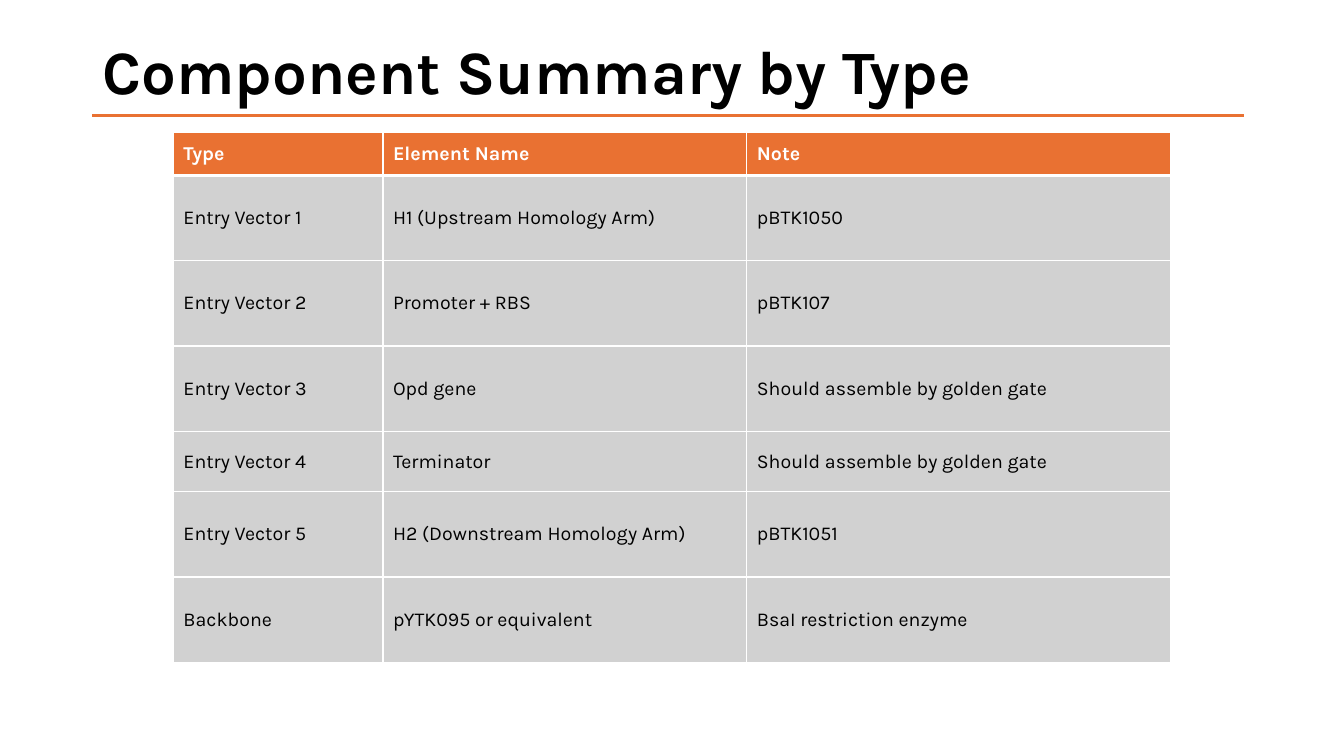
from lxml.etree import SubElement
from pptx import Presentation
from pptx.dml.color import RGBColor
from pptx.enum.shapes import MSO_CONNECTOR
from pptx.enum.text import MSO_ANCHOR
from pptx.oxml.ns import qn
from pptx.util import Cm, Pt

FONT = "Karla"
BLACK, WHITE, ORANGE, GRAY = "000000", "FFFFFF", "E97132", "D1D1D1"

COLUMN_WIDTHS = [5.28, 9.17, 10.69]
HEADER_HEIGHT, ROW_HEIGHT, SHORT_ROW_HEIGHT = 1.09, 2.15, 1.52
HEADER = ("Type", "Element Name", "Note")
COMPONENTS = [
    ("Entry Vector 1", "H1 (Upstream Homology Arm)", "pBTK1050"),
    ("Entry Vector 2", "Promoter + RBS", "pBTK107"),
    ("Entry Vector 3", "Opd gene", "Should assemble by golden gate"),
    ("Entry Vector 4", "Terminator", "Should assemble by golden gate"),
    ("Entry Vector 5", "H2 (Downstream Homology Arm)", "pBTK1051"),
    ("Backbone", "pYTK095 or equivalent", "BsaI restriction enzyme"),
]
SHORT_COMPONENT = "Entry Vector 4"


def color(value):
    return RGBColor.from_string(value)


def add_run(paragraph, text, size, text_color, bold):
    run = paragraph.add_run()
    run.text = text
    run.font.name = FONT
    run.font.size = Pt(size)
    run.font.bold = bold
    run.font.color.rgb = color(text_color)


def add_title(slide, left, top, width, height):
    # Heading
    shape = slide.shapes.add_textbox(Cm(left), Cm(top), Cm(width), Cm(height))
    frame = shape.text_frame
    frame.word_wrap = True
    frame.vertical_anchor = MSO_ANCHOR.MIDDLE
    paragraph = frame.paragraphs[0]
    paragraph.line_spacing = 0.9
    add_run(paragraph, "Component Summary by Type", 44, BLACK, True)

    # Rule under the heading
    rule_top = Cm(top + 2.85)
    rule = slide.shapes.add_connector(
        MSO_CONNECTOR.STRAIGHT, Cm(left), rule_top, Cm(left + width - 0.18), rule_top)
    rule.line.color.rgb = color(ORANGE)
    rule.line.width = Pt(2.25)
    SubElement(rule._element.spPr, qn("a:effectLst"))


def set_borders(cell, top, bottom):
    properties = cell._tc.get_or_add_tcPr()
    for side, width in (("lnL", 1), ("lnR", 1), ("lnT", top), ("lnB", bottom)):
        line = SubElement(properties, qn(f"a:{side}"), w=str(Pt(width)))
        fill = SubElement(line, qn("a:solidFill"))
        SubElement(fill, qn("a:srgbClr"), val=WHITE)


def add_component_table(slide, left, top):
    heights = [HEADER_HEIGHT] + [
        SHORT_ROW_HEIGHT if component[0] == SHORT_COMPONENT else ROW_HEIGHT
        for component in COMPONENTS]
    rows = [HEADER] + COMPONENTS
    table = slide.shapes.add_table(
        len(rows), len(HEADER), Cm(left), Cm(top),
        Cm(sum(COLUMN_WIDTHS)), Cm(sum(heights))).table
    for column, width in zip(table.columns, COLUMN_WIDTHS):
        column.width = Cm(width)

    for row_index, (texts, height) in enumerate(zip(rows, heights)):
        table.rows[row_index].height = Cm(height)
        is_header = row_index == 0
        for column_index, text in enumerate(texts):
            cell = table.cell(row_index, column_index)
            # Borders come before the fill in the cell properties
            set_borders(cell, 3 if row_index == 1 else 1, 3 if is_header else 1)
            cell.fill.solid()
            cell.fill.fore_color.rgb = color(ORANGE if is_header else GRAY)
            cell.vertical_anchor = MSO_ANCHOR.MIDDLE
            add_run(cell.text_frame.paragraphs[0], text, 14,
                    WHITE if is_header else BLACK, is_header)


def main():
    presentation = Presentation()
    presentation.slide_width = Cm(33.87)
    presentation.slide_height = Cm(19.05)
    slide = presentation.slides.add_slide(presentation.slide_layouts[6])
    add_title(slide, 2.33, 0.05, 29.21, 3.68)
    add_component_table(slide, 4.37, 3.33)
    presentation.save("out.pptx")


if __name__ == "__main__":
    main()
